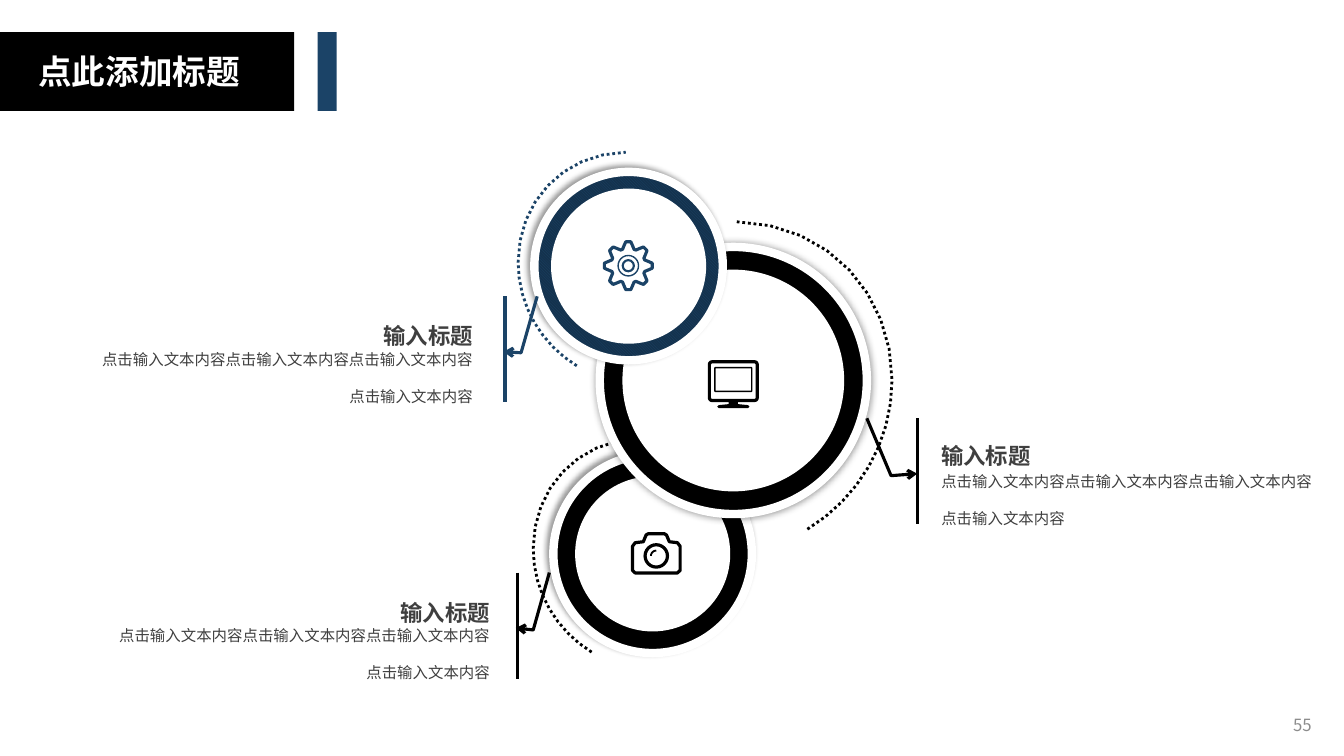
import math
import pptx
import pptx.util
import pptx.oxml
import pptx.oxml.ns
import pptx.dml.color
import pptx.enum.dml
import pptx.enum.shapes
import pptx.enum.text
from lxml import etree

Pt = pptx.util.Pt
qn = pptx.oxml.ns.qn
KIND = pptx.enum.shapes.MSO_SHAPE
ALIGN = pptx.enum.text.PP_ALIGN
ANCHOR = pptx.enum.text.MSO_ANCHOR

FONT = "Noto Sans CJK SC"
HUES = {"black": "000000", "blue": "1B4367", "navy": "14324D",
        "white": "FFFFFF", "text": "3F3F3F", "gray": "8C8C8C"}

HEAD = "点此添加标题"
PAGE = "55"
LABEL = "输入标题"
BODY = "点击输入文本内容" * 4

BANDS = [(0, 23, 210.2, 56.2, "black"), (226.8, 23, 13.7, 56.2, "blue")]
ARCS = {
    "screen": (637.2, 158.4, -110.9, 219.6, "black"),
    "camera": (380.9, 313.2, 76.6, 152.6, "black"),
    "gear": (370.1, 108.7, 76.9, 152.6, "blue"),
}
CURVES = [[(.545, 1), (.22, .9), (0, .72), (0, .515)],
          [(0, .515), (0, .24), (.4, .007), (1, 0)]]
RINGS = {
    "camera": (466.2, 395.6, 70.9, 55.4, "black", "black", 4, 3, 225),
    "screen": (523.8, 271.8, 95.4, 79.2, "black", "black", 5, 0, 0),
    "gear": (449, 190.1, 67.3, 55.4, "blue", "navy", 4, 3, 225),
}
CALLS = {
    "gear": (360.7, 211.7, "blue", [(23, 0), (11.5, 40.3), (-1, 39.6)],
             344.9, -4.3, ALIGN.RIGHT),
    "camera": (369.4, 409, "black", [(23, 0), (11.5, 41), (-1, 39.6)],
               357.1, -3.6, ALIGN.RIGHT),
    "screen": (655.2, 298.8, "black", [(-36, 0), (-18.7, 41), (0, 39.6)],
               665.3, -5.8, ALIGN.LEFT),
}
BAR = 75.8
PANES = [(34.2, 258.4, 27.7, 2.3, .07), (26.4, 262.6, 17, 1, .03)]
STAND = [(3.3, 287), (3.3, 288.7), (10.4, 289.4), (11.5, 290.5), (10.4, 291.6)]
CASE = [(5.8, 381.3), (7.3, 382.2), (9.3, 387), (15.1, 387.7),
        (17, 390.2), (17, 407.5), (15.1, 409.3)]
TOOTH = [(-19.3, 12.4), (-11.5, 14.8), (-6, 17.2), (6, 17.2), (11.5, 14.8), (19.3, 12.4)]
ROUNDS = [(468.8, 397.1, 8, "black", 2.3), (448.8, 189.8, 7.3, "blue", 1),
          (448.8, 189.8, 4, "blue", 1.5)]

deck = pptx.Presentation()
deck.slide_width, deck.slide_height = Pt(960), Pt(540)
slide = deck.slides.add_slide(deck.slide_layouts[6])
shapes = slide.shapes


def hue(name):
    return pptx.dml.color.RGBColor.from_string(HUES[name])


def paint(item, fill=None, line=None, width=0):
    item.shadow.inherit = False
    if fill:
        item.fill.solid()
        item.fill.fore_color.rgb = hue(fill)
    else:
        item.fill.background()
    if line:
        item.line.color.rgb = hue(line)
        item.line.width = Pt(width)
    else:
        item.line.fill.background()


def outline(points, closed=True):
    spots = [(Pt(x), Pt(y)) for x, y in points]
    pen = shapes.build_freeform(*spots[0], scale=1.0)
    pen.add_line_segments(spots[1:], close=closed)
    return pen.convert_to_shape()


def spin(x, y, polar):
    turns = [(math.radians(a), r) for a, r in polar]
    return [(x + r * math.sin(t), y - r * math.cos(t)) for t, r in turns]


def mirror(x, half):
    return [(x + dx, y) for dx, y in half] + [(x - dx, y) for dx, y in half[::-1]]


def bend(curve, t):
    parts = [(1 - t) ** 3, 3 * t * (1 - t) ** 2, 3 * t * t * (1 - t), t ** 3]
    return [sum(p * spot[k] for p, spot in zip(parts, curve)) for k in (0, 1)]


def arc(name):
    x, y, w, h, color = ARCS[name]
    units = [CURVES[0][0]] + [bend(curve, k / 8) for curve in CURVES for k in range(1, 9)]
    item = outline([(x + w * u, y + h * v) for u, v in units], False)
    paint(item, None, color, 2)
    item.line.dash_style = pptx.enum.dml.MSO_LINE.ROUND_DOT


def disc(x, y, r):
    return shapes.add_shape(KIND.OVAL, Pt(x - r), Pt(y - r), Pt(2 * r), Pt(2 * r))


def ring(name):
    x, y, outer, inner, fore, back, blur, gap, turn = RINGS[name]
    rim = disc(x, y, outer)
    paint(rim, None, "white", 6)
    rim.fill.patterned()
    rim.fill.pattern = pptx.enum.dml.MSO_PATTERN.DARK_DOWNWARD_DIAGONAL
    rim.fill.fore_color.rgb, rim.fill.back_color.rgb = hue(fore), hue(back)
    glow = etree.SubElement(rim._element.spPr.find(qn("a:effectLst")), qn("a:outerShdw"),
                            blurRad=str(Pt(blur)), dist=str(Pt(gap)),
                            dir=str(turn * 60000), algn="ctr", rotWithShape="0")
    tint = etree.SubElement(glow, qn("a:srgbClr"), val=HUES["black"])
    etree.SubElement(tint, qn("a:alpha"), val="40000")
    paint(disc(x, y, inner), "white")


def pointer(name):
    x, y, color, turns = CALLS[name][:4]
    arrow = outline([(x + dx, y + dy) for dx, dy in turns], False)
    paint(arrow, None, color, 2.25)
    etree.SubElement(arrow.line._get_or_add_ln(), qn("a:tailEnd"), type="arrow")
    bar = shapes.add_connector(pptx.enum.shapes.MSO_CONNECTOR.STRAIGHT,
                               Pt(x), Pt(y), Pt(x), Pt(y + BAR))
    bar.line.color.rgb = hue(color)
    bar.line.width = Pt(2.25)
    etree.SubElement(bar._element.spPr, qn("a:effectLst"))


def icons():
    x = RINGS["screen"][0]
    for w, y, h, width, bow in PANES:
        pane = shapes.add_shape(KIND.ROUNDED_RECTANGLE, Pt(x - w / 2), Pt(y), Pt(w), Pt(h))
        pane.adjustments[0] = bow
        paint(pane, None, "black", width)
    paint(outline(mirror(x, STAND)), "black")
    x, y = ROUNDS[0][:2]
    paint(outline(mirror(x, CASE)), None, "black", 2.3)
    glint = outline(spin(x, y, [(a, 3.8) for a in range(-90, 1, 15)]), False)
    paint(glint, None, "black", 1.3)
    x, y = ROUNDS[1][:2]
    polar = [(45 * k + a, r) for k in range(8) for a, r in TOOTH]
    paint(outline(spin(x, y, polar)), None, "blue", 2.25)
    for x, y, r, color, width in ROUNDS:
        paint(disc(x, y, r), None, color, width)


def write(words, x, y, w, h, size, color, align, bold=False, space=None, wrap=True):
    frame = shapes.add_textbox(Pt(x), Pt(y), Pt(w), Pt(h)).text_frame
    frame.word_wrap = wrap
    frame.text = words
    para = frame.paragraphs[0]
    para.alignment = align
    if space:
        para.line_spacing = space
    run = para.runs[0]
    run.font.size, run.font.bold, run.font.name = Pt(size), bold, FONT
    run.font.color.rgb = hue(color)
    etree.SubElement(run.font._element, qn("a:ea"), typeface=FONT)
    return frame


def main():
    arc("screen")
    arc("camera")
    for name in RINGS:
        ring(name)
    for name in CALLS:
        pointer(name)
    arc("gear")
    icons()
    for bar, top, color, turns, edge, rise, align in CALLS.values():
        for words, wide, high, drop, size, bold in [(LABEL, 79.2, 40.3, rise, 16, True),
                                                    (BODY, 286.6, 56.9, 21.6, 11, False)]:
            left = edge - wide if align == ALIGN.RIGHT else edge
            write(words, left, top + drop, wide, high, size, "text", align, bold, 2.0, not bold)
    for x, y, w, h, color in BANDS:
        paint(shapes.add_shape(KIND.RECTANGLE, Pt(x), Pt(y), Pt(w), Pt(h)), color)
    write(HEAD, 0, 33.1, 198.7, 36, 24, "white", ALIGN.CENTER, True)
    page = write(PAGE, 909.4, 502.6, 34.6, 30.2, 12, "gray", ALIGN.RIGHT)
    page.vertical_anchor = ANCHOR.MIDDLE
    deck.save("out.pptx")


if __name__ == "__main__":
    main()
